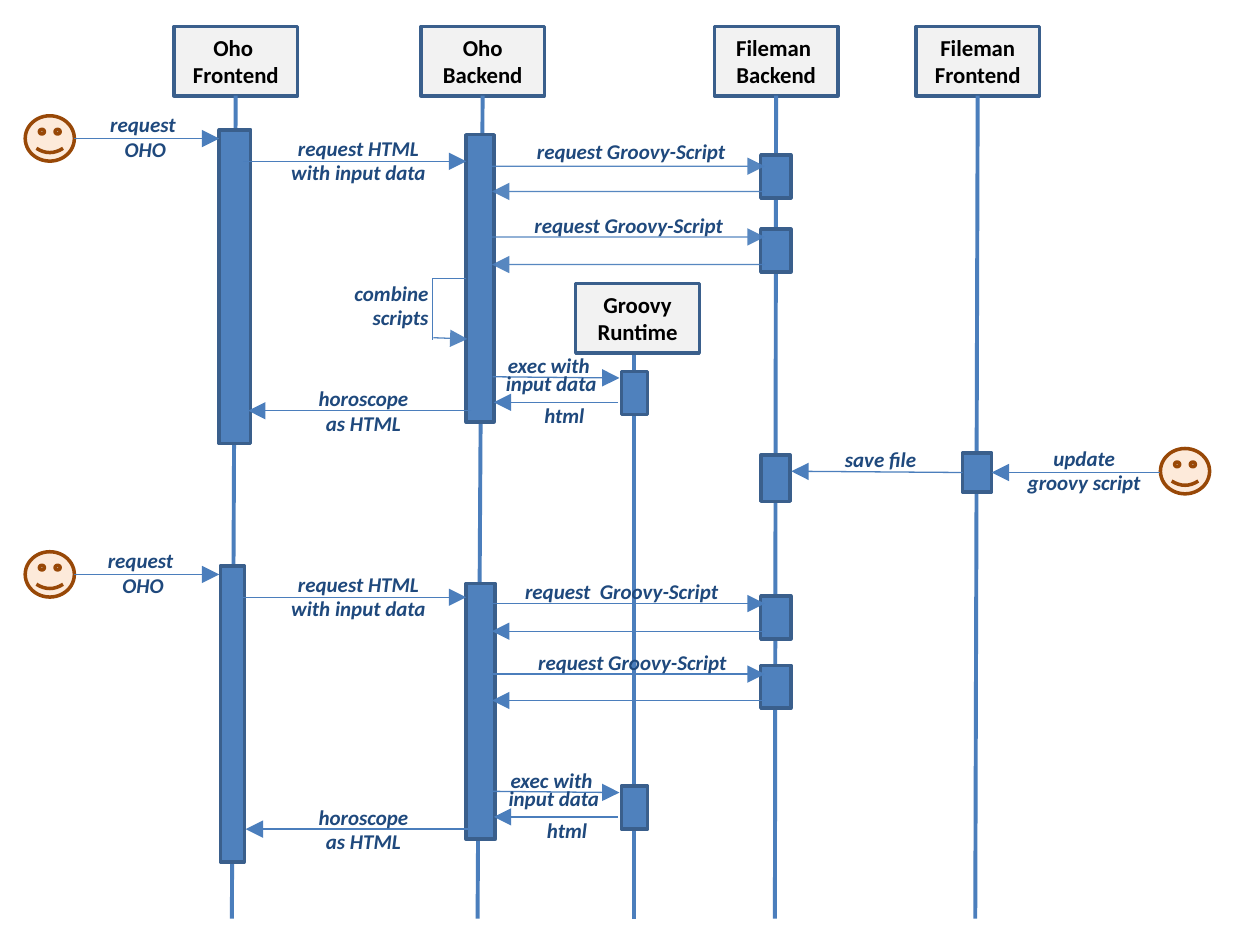
import pptx
import pptx.dml.color
import pptx.enum.shapes
import pptx.enum.text
import pptx.oxml.ns
import pptx.util
from lxml import etree

Pt = pptx.util.Pt
RGBColor = pptx.dml.color.RGBColor
SHAPE = pptx.enum.shapes.MSO_SHAPE
CONNECTOR = pptx.enum.shapes.MSO_CONNECTOR
ALIGN = pptx.enum.text.PP_ALIGN
qn = pptx.oxml.ns.qn

LINE_BLUE = RGBColor(0x4B, 0x7E, 0xBC)
BAR_BLUE = RGBColor(0x4F, 0x81, 0xBD)
EDGE_BLUE = RGBColor(0x3A, 0x5F, 0x8C)
TEXT_BLUE = RGBColor(0x1F, 0x49, 0x7D)
HEADER_GREY = RGBColor(0xF2, 0xF2, 0xF2)
FACE_FILL = RGBColor(0xFD, 0xEA, 0xDA)
FACE_EDGE = RGBColor(0x98, 0x48, 0x07)
BLACK = RGBColor(0, 0, 0)

SECOND_RUN = 249.1
LIFELINE_END = 524.9
BACKEND_RIGHT = 281.2
FILEMAN_LEFT = 437


def write_text(box, text, size=12, color=TEXT_BLUE, italic=True, align=ALIGN.CENTER, spacing=None):
    """Write one bold paragraph per line of text."""
    frame = box.text_frame
    for index, line in enumerate(text.split("\n")):
        para = frame.add_paragraph() if index else frame.paragraphs[0]
        para.alignment = align
        if spacing:
            para.line_spacing = Pt(spacing)
        span = para.add_run()
        span.text = line
        span.font.name = "Calibri"
        span.font.size = Pt(size)
        span.font.bold = True
        span.font.italic = italic
        span.font.color.rgb = color


def add_block(page, kind, left, top, width, height, fill=BAR_BLUE, edge=EDGE_BLUE):
    """Add an outlined, filled shape."""
    block = page.shapes.add_shape(kind, Pt(left), Pt(top), Pt(width), Pt(height))
    block.shadow.inherit = False
    block.fill.solid()
    block.fill.fore_color.rgb = fill
    block.line.color.rgb = edge
    block.line.width = Pt(2)
    return block


def add_header(page, text, left, top=15.1):
    """Add the named box at the head of a lifeline."""
    header = add_block(page, SHAPE.FLOWCHART_PROCESS, left, top, 70.6, 39.6, HEADER_GREY)
    frame = header.text_frame
    frame.margin_left = frame.margin_right = Pt(2.9)
    frame.margin_top = frame.margin_bottom = Pt(3.6)
    frame.word_wrap = True
    write_text(header, text, size=13, color=BLACK, italic=False)
    return header


def add_face(page, left, top):
    """Add a user as a smiling face."""
    return add_block(page, SHAPE.SMILEY_FACE, left, top, 28.1, 25.9, FACE_FILL, FACE_EDGE)


def add_line(page, start, end, width=0.75, kind=CONNECTOR.STRAIGHT):
    """Add a plain blue connector."""
    line = page.shapes.add_connector(kind, *(Pt(value) for value in (*start, *end)))
    line.line.color.rgb = LINE_BLUE
    line.line.width = Pt(width)
    etree.SubElement(line._element.spPr, qn("a:effectLst"))
    return line


def add_arrow(page, start, end, opacity=100):
    """Add a message arrow with a large triangular head."""
    arrow = add_line(page, start, end)
    outline = arrow.line._get_or_add_ln()
    if opacity < 100:
        color = outline.find(".//" + qn("a:srgbClr"))
        etree.SubElement(color, qn("a:alpha"), val=str(opacity * 1000))
    etree.SubElement(outline, qn("a:tailEnd"), type="triangle", w="lg", len="lg")
    return arrow


def add_label(page, text, left, top, width, spacing=14, align=ALIGN.CENTER):
    """Add an unwrapped message label."""
    lines = text.count("\n") + 1
    height = 7.2 + spacing * lines
    label = page.shapes.add_textbox(Pt(left), Pt(top), Pt(width), Pt(height))
    label.text_frame.word_wrap = False
    label.text_frame.auto_size = pptx.enum.text.MSO_AUTO_SIZE.SHAPE_TO_FIT_TEXT
    write_text(label, text, spacing=spacing, align=align)


def add_lifelines(page):
    """Add the participants and their lifelines."""
    add_line(page, (362.2, 200.9), (362.2, LIFELINE_END), width=2.25)
    participants = [
        ("Oho \nFrontend", 99.4, 132.5),
        ("Oho\nBackend", 240.5, 272.9),
        ("Fileman \nBackend", 408.2, 442.8),
        ("Fileman\nFrontend", 523.4, 557.3),
    ]
    for text, left, foot in participants:
        header = add_header(page, text, left)
        lifeline = add_line(page, (left + 35.3, 54.7), (foot, LIFELINE_END), width=2.25)
        lifeline.begin_connect(header, 2)
    add_header(page, "Groovy\nRuntime", 329, 162)


def add_bars(page):
    """Add the activation bars of the two runs."""
    bars = [
        (125.3, 74.2, 18, 179.3), (126, 323.3, 13.7, 169.2),
        (266.4, 77, 15.8, 164.2), (266.4, 333.4, 16.6, 146.2),
        (355, 212.4, 15.1, 24.5), (355, 449.3, 15.1, 24.5),
    ]
    bars += [(434.7, top, 17.3, 24.5) for top in (88.6, 131, 340.6, 380.2)]
    for bar in bars:
        add_block(page, SHAPE.RECTANGLE, *bar)


def add_request(page, shift, label_left):
    """Add the user's request and the call it triggers."""
    add_face(page, 14.4, 66.2 + shift)
    add_arrow(page, (42.5, 79.2 + shift), (125.3, 79.2 + shift))
    add_label(page, "request \nOHO", label_left, 60.8 + shift, 55.4)
    add_arrow(page, (139, 92.2 + shift), (266.4, 92.2 + shift))
    add_label(page, "request HTML\nwith input data", 158.4, 74.2 + shift, 92.9)


def add_script_call(page, text, label_left, label_top, call, reply, width=123.8, opacity=100):
    """Add a script request and its reply."""
    add_arrow(page, (BACKEND_RIGHT, call), (FILEMAN_LEFT, call), opacity)
    add_arrow(page, (FILEMAN_LEFT, reply), (BACKEND_RIGHT, reply), opacity)
    add_label(page, text, label_left, label_top, width)


def add_result(page, call, label_left, horoscope, start, end):
    """Add the script execution and the returned horoscope."""
    add_arrow(page, (281.5, call), (354, call + 0.7))
    add_arrow(page, (353.2, call + 14.6), (282.2, call + 14.6))
    add_label(page, "exec with \ninput data", label_left, call - 12.7, 67, spacing=10)
    add_label(page, "html", label_left + 22.3, call + 11.8, 37.4)
    add_arrow(page, (start, horoscope), (end, horoscope))
    add_label(page, "horoscope\nas HTML", 174.2, horoscope - 17.3, 67)


def add_combine(page):
    """Add the call with which the backend combines the scripts."""
    bracket = add_line(page, (266.4, 159.1), (247, 194.4), kind=CONNECTOR.ELBOW)
    bracket._element.spPr.find(qn("a:prstGeom")).set("prst", "bentConnector2")
    add_arrow(page, (247.7, 193), (267.1, 193.7), opacity=93)
    add_label(page, "combine\nscripts", 194.4, 157, 57.6, align=ALIGN.RIGHT)


def add_update(page):
    """Add the script update made by the second user."""
    add_face(page, 663.1, 256.3)
    add_block(page, SHAPE.RECTANGLE, 434.9, 259.9, 16.6, 26.6)
    editor = add_block(page, SHAPE.RECTANGLE, 550.1, 258.8, 16.6, 22.4)
    update = add_arrow(page, (663.1, 270), (566.7, 270))
    update.end_connect(editor, 3)
    save = add_arrow(page, (550.1, 270), (452.2, 269.3))
    save.begin_connect(editor, 1)
    add_label(page, "update\ngroovy script", 579.6, 251.3, 79.9)
    add_label(page, "save file", 474.5, 252, 56.2, align=ALIGN.RIGHT)


def main():
    """Build the sequence diagram and save it."""
    deck = pptx.Presentation()
    deck.slide_width, deck.slide_height = Pt(720), Pt(540)
    page = deck.slides.add_slide(deck.slide_layouts[6])
    add_lifelines(page)
    add_bars(page)
    add_request(page, 0, 55.4)
    add_request(page, SECOND_RUN, 54)
    add_script_call(page, "request Groovy-Script", 298.8, 76.3, 95, 109.4, opacity=93)
    add_script_call(page, "request Groovy-Script", 297.4, 118.1, 135.4, 151.2, opacity=93)
    add_script_call(page, "request  Groovy-Script", 290.3, 327.6, 344.9, 360.7, width=130)
    add_script_call(page, "request Groovy-Script", 299.5, 367.9, 385.2, 400.3)
    add_combine(page)
    add_result(page, 215.3, 281.5, 234.7, 269.3, 141.8)
    add_result(page, 452.2, 283, 473.8, 267.8, 140.4)
    add_update(page)
    deck.save("out.pptx")


if __name__ == "__main__":
    main()
